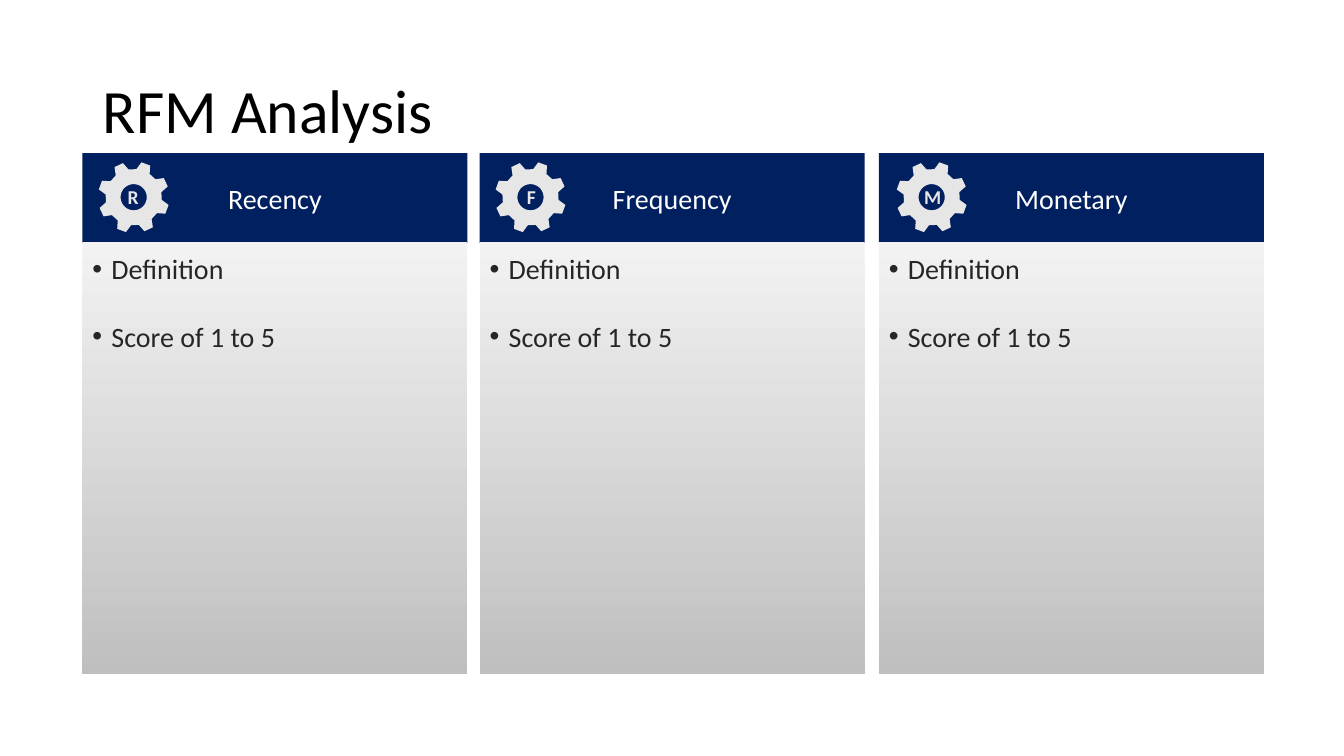
from dataclasses import dataclass
from math import cos, radians, sin

from lxml.etree import SubElement
from pptx import Presentation
from pptx.dml.color import RGBColor
from pptx.enum.shapes import MSO_SHAPE
from pptx.enum.text import MSO_ANCHOR, MSO_AUTO_SIZE, PP_ALIGN
from pptx.oxml.ns import qn
from pptx.util import Cm, Pt

# Content: heading, letter, then left edges of column and letter, gear centre (cm)
TITLE = "RFM Analysis"
COLUMNS = [
    ("Recency", "R", 2.08, 2.97, 3.37),
    ("Frequency", "F", 12.09, 13.03, 13.37),
    ("Monetary", "M", 22.15, 23.04, 23.48),
]
POINTS = ["Definition", "Score of 1 to 5"]


@dataclass(frozen=True)
class Theme:
    font: str = "Calibri"
    navy: RGBColor = RGBColor(0x00, 0x20, 0x60)
    white: RGBColor = RGBColor(0xFF, 0xFF, 0xFF)
    black: RGBColor = RGBColor(0x00, 0x00, 0x00)
    ink: RGBColor = RGBColor(0x26, 0x26, 0x26)
    gear: RGBColor = RGBColor(0xE7, 0xE6, 0xE6)
    fade_top: RGBColor = RGBColor(0xF2, 0xF2, 0xF2)
    fade_bottom: RGBColor = RGBColor(0xBF, 0xBF, 0xBF)
    title_size: Pt = Pt(44)
    text_size: Pt = Pt(20)
    letter_size: Pt = Pt(14)


THEME = Theme()

# Layout (cm)
COLUMN_WIDTH = 9.7
HEADER_TOP, HEADER_HEIGHT = 3.86, 2.26
BODY_TOP, BODY_HEIGHT = 6.1, 10.88
GEAR_MIDDLE = 4.97
TIP_RADIUS, ROOT_RADIUS, HOLE_RADIUS = 0.9, 0.71, 0.33
TEETH, FIRST_TOOTH = 8, 20
TOOTH_OUTLINE = [(-14.5, ROOT_RADIUS), (-7.5, TIP_RADIUS),
                 (7.5, TIP_RADIUS), (14.5, ROOT_RADIUS)]


def style(para, size, color, bold=False):
    for span in para.runs:
        span.font.name = THEME.font
        span.font.size = size
        span.font.bold = bold
        span.font.color.rgb = color


def add_panel(page, left, top, height):
    panel = page.shapes.add_shape(
        MSO_SHAPE.RECTANGLE, Cm(left), Cm(top), Cm(COLUMN_WIDTH), Cm(height))
    panel.shadow.inherit = False
    panel.line.fill.background()
    return panel


def add_header(page, left, heading):
    header = add_panel(page, left, HEADER_TOP, HEADER_HEIGHT)
    header.fill.solid()
    header.fill.fore_color.rgb = THEME.navy
    frame = header.text_frame
    frame.text = heading
    frame.vertical_anchor = MSO_ANCHOR.MIDDLE
    frame.paragraphs[0].alignment = PP_ALIGN.CENTER
    style(frame.paragraphs[0], THEME.text_size, THEME.white)


def add_body(page, left):
    body = add_panel(page, left, BODY_TOP, BODY_HEIGHT)
    body.fill.gradient()
    body.fill.gradient_angle = 270
    for stop, color in zip(body.fill.gradient_stops, (THEME.fade_top, THEME.fade_bottom)):
        stop.color.rgb = color
    frame = body.text_frame
    frame.text = "\n".join(POINTS)
    frame.vertical_anchor = MSO_ANCHOR.TOP
    frame.margin_left = frame.margin_right = Cm(0.25)
    frame.margin_top = frame.margin_bottom = Cm(0.25)
    for index, para in enumerate(frame.paragraphs):
        para.alignment = PP_ALIGN.LEFT
        if index:
            para.space_before = Pt(24)
        settings = para._p.get_or_add_pPr()
        settings.set("marL", str(Cm(0.48)))
        settings.set("indent", str(-Cm(0.48)))
        SubElement(settings, qn("a:buFont")).set("typeface", "Arial")
        SubElement(settings, qn("a:buChar")).set("char", "•")
        style(para, THEME.text_size, THEME.ink)


def add_gear(page, center):
    def place(angle, radius):
        turn = radians(angle)
        return Cm(center + radius * cos(turn)), Cm(GEAR_MIDDLE + radius * sin(turn))

    rim = [place(FIRST_TOOTH + tooth * 360 / TEETH + offset, radius)
           for tooth in range(TEETH) for offset, radius in TOOTH_OUTLINE]
    hole = [place(angle, HOLE_RADIUS) for angle in range(360, 0, -10)]
    builder = page.shapes.build_freeform(*rim[0])
    builder.add_line_segments(rim[1:], close=True)
    builder.move_to(*hole[0])
    builder.add_line_segments(hole[1:], close=True)
    gear = builder.convert_to_shape()
    gear.shadow.inherit = False
    gear.fill.solid()
    gear.fill.fore_color.rgb = THEME.gear
    gear.line.fill.background()


def add_letter(page, left, letter):
    box = page.shapes.add_textbox(Cm(left), Cm(4.54), Cm(1.17), Cm(0.86))
    frame = box.text_frame
    frame.word_wrap = True
    frame.text = letter
    style(frame.paragraphs[0], THEME.letter_size, THEME.gear, bold=True)


def add_title(page):
    title = page.shapes.title
    title.left, title.top, title.width, title.height = Cm(2.34), Cm(1.02), Cm(29.21), Cm(3.68)
    frame = title.text_frame
    frame.text = TITLE
    frame.auto_size = MSO_AUTO_SIZE.NONE
    frame.vertical_anchor = MSO_ANCHOR.MIDDLE
    para = frame.paragraphs[0]
    para.alignment = PP_ALIGN.LEFT
    para.line_spacing = 0.9
    style(para, THEME.title_size, THEME.black)


def main():
    deck = Presentation()
    deck.slide_width, deck.slide_height = Cm(33.87), Cm(19.05)
    page = deck.slides.add_slide(deck.slide_layouts[5])
    add_title(page)

    # One column per RFM measure
    for heading, letter, left, letter_left, gear_center in COLUMNS:
        add_header(page, left, heading)
        add_body(page, left)
        add_gear(page, gear_center)
        add_letter(page, letter_left, letter)

    deck.save("out.pptx")


if __name__ == "__main__":
    main()
